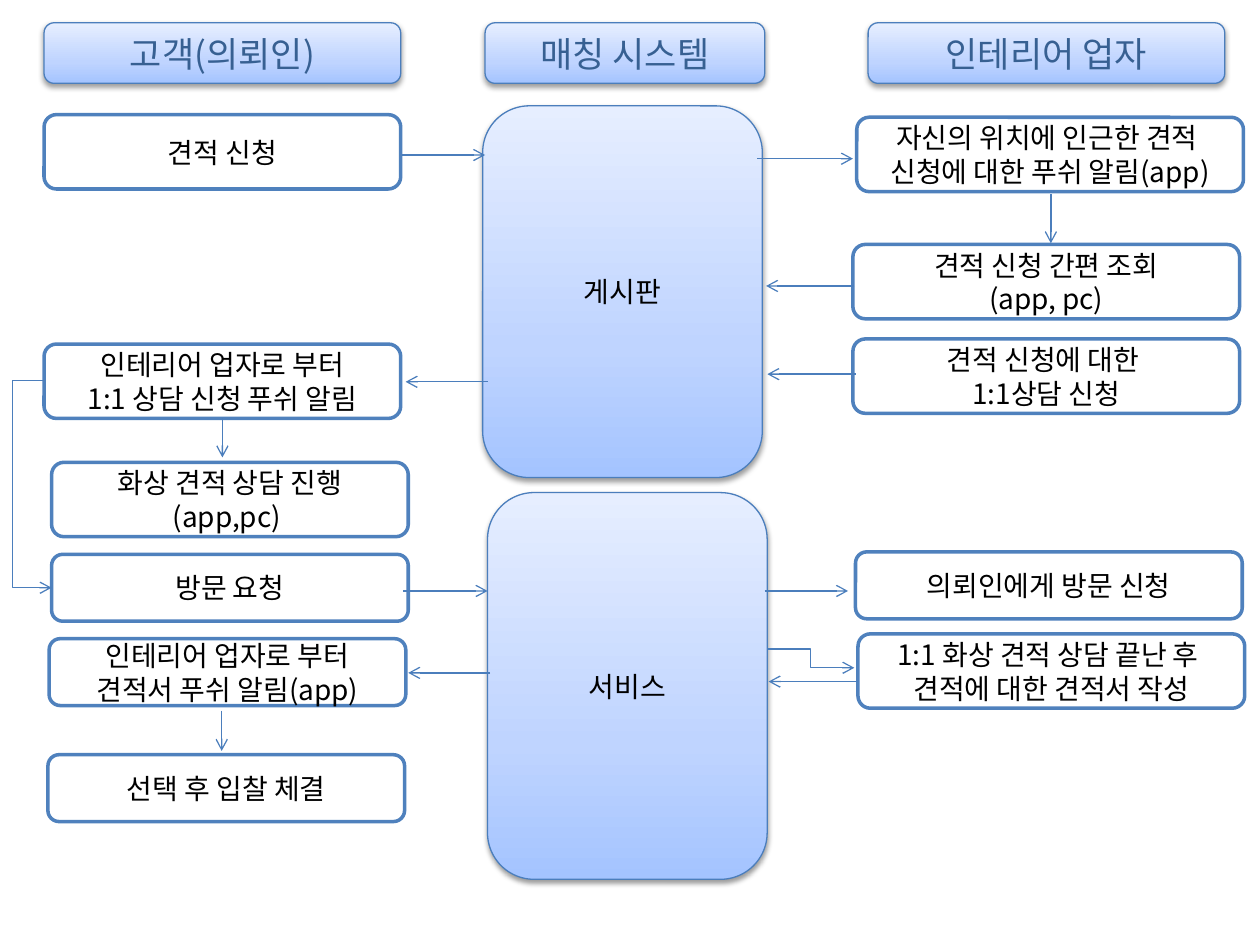
from copy import deepcopy

from lxml.etree import SubElement
from pptx import Presentation
from pptx.dml.color import RGBColor
from pptx.enum.shapes import MSO_CONNECTOR, MSO_SHAPE
from pptx.enum.text import MSO_ANCHOR, PP_ALIGN
from pptx.oxml.ns import qn
from pptx.util import Pt

FONT = "Noto Sans CJK KR"
COLORS = {
    "header_text": "376092",
    "text": "000000",
    "box_fill": "FFFFFF",
    "box_line": "4F81BD",
    "thin_line": "4B7EBC",
    "shadow": "000000",
}
GRADIENT = [(0, "A4C4FF"), (0.35, "BFD4FF"), (1, "E6EEFF")]
CLIENT_WIDTH, SYSTEM_WIDTH, VENDOR_WIDTH = 203.8, 159.8, 221
HEADER_TOP, HEADER_HEIGHT = 13, 34.6
TALL, SHORT = 42.5, 38.2

HEADERS = [
    ("고객(의뢰인)", 25.2, CLIENT_WIDTH),
    ("매칭 시스템", 277.2, SYSTEM_WIDTH),
    ("인테리어 업자", 496.1, CLIENT_WIDTH),
]
SYSTEMS = [
    ("게시판", 275.8, 60.5, 212.4),
    ("서비스", 278.6, 281.5, 221),
]
CLIENT_STEPS = [
    ("견적 신청", 25.2, 65.5, TALL),
    ("인테리어 업자로 부터\n1:1 상담 신청 푸쉬 알림", 25.2, 196.6, TALL),
    ("화상 견적 상담 진행\n(app,pc) ", 29.5, 264.2, TALL),
    ("방문 요청", 29.5, 316.8, SHORT),
    ("인테리어 업자로 부터\n견적서 푸쉬 알림(app)", 28.1, 365, SHORT),
    ("선택 후 입찰 체결", 27.4, 431.3, SHORT),
]
VENDOR_STEPS = [
    ("자신의 위치에 인근한 견적 \n신청에 대한 푸쉬 알림(app)", 489.6, 67, TALL),
    ("견적 신청 간편 조회\n(app, pc)", 487.4, 139.7, TALL),
    ("견적 신청에 대한 \n1:1상담 신청", 487.4, 193.7, TALL),
    ("의뢰인에게 방문 신청", 488.9, 315.4, SHORT),
    ("1:1 화상 견적 상담 끝난 후 \n견적에 대한 견적서 작성", 490.3, 362.2, TALL),
]
HORIZONTAL_ARROWS = [
    (229.7, 277.2, 88.6),
    (488.9, 438.5, 213.8),
    (432.7, 487.4, 90.7),
    (278.6, 231.8, 218.2),
    (488.2, 437.8, 163.4),
    (230.4, 278.6, 337.7),
    (437, 484.6, 337.7),
    (280.1, 233.3, 384.5),
    (490.3, 439.2, 389.5),
]
VERTICAL_ARROWS = [(600.5, 110.9, 139), (126.7, 406.1, 429.1)]
ELBOW_ARROWS = [
    (25.2, 217.4, 29.5, 335.9, 7.2),
    (438.5, 370.8, 488.2, 381.6, 463.3),
]


def color(name):
    """Return the RGB colour stored under a name."""
    return RGBColor.from_string(COLORS[name])


def write_text(shape, text, size, color_name):
    """Centre the text in a shape and format its runs."""
    text_frame = shape.text_frame
    text_frame.word_wrap = True
    text_frame.vertical_anchor = MSO_ANCHOR.MIDDLE
    text_frame.text = text
    for paragraph in text_frame.paragraphs:
        paragraph.alignment = PP_ALIGN.CENTER
        for run in paragraph.runs:
            run.font.size = Pt(size)
            run.font.name = FONT
            run.font.color.rgb = color(color_name)
            SubElement(run.font._element, qn("a:ea"), typeface=FONT)


def add_round_box(slide, left, top, width, height, line_name, line_width):
    """Add an outlined rounded rectangle without the theme shadow."""
    shape = slide.shapes.add_shape(
        MSO_SHAPE.ROUNDED_RECTANGLE, Pt(left), Pt(top), Pt(width), Pt(height)
    )
    shape.shadow.inherit = False
    shape.line.color.rgb = color(line_name)
    shape.line.width = Pt(line_width)
    return shape


def add_shadow(shape):
    """Give a shape a soft shadow straight below it."""
    effects = shape._element.spPr.find(qn("a:effectLst"))
    shadow = SubElement(
        effects, qn("a:outerShdw"), blurRad=str(Pt(3.1)), dist=str(Pt(1.6)),
        dir="5400000", rotWithShape="0",
    )
    shadow_color = SubElement(shadow, qn("a:srgbClr"), val=COLORS["shadow"])
    SubElement(shadow_color, qn("a:alpha"), val="38000")


def add_gradient_box(slide, text, left, top, width, height, size, color_name):
    """Add a blue gradient box with a shadow."""
    shape = add_round_box(slide, left, top, width, height, "thin_line", 0.75)
    shape.fill.gradient()
    shape.fill.gradient_angle = 90
    stop_list = shape._element.spPr.find(qn("a:gradFill")).find(qn("a:gsLst"))
    stop_list.append(deepcopy(stop_list[0]))
    for stop, (position, value) in zip(shape.fill.gradient_stops, GRADIENT):
        stop.position = position
        stop.color.rgb = RGBColor.from_string(value)
    add_shadow(shape)
    write_text(shape, text, size, color_name)


def add_step(slide, text, left, top, width, height):
    """Add a white process step."""
    shape = add_round_box(slide, left, top, width, height, "box_line", 2)
    shape.fill.solid()
    shape.fill.fore_color.rgb = color("box_fill")
    write_text(shape, text, 16, "text")
    return shape


def add_arrow(slide, start_x, start_y, end_x, end_y, kind=MSO_CONNECTOR.STRAIGHT):
    """Add a thin connector with an open arrowhead at its end."""
    connector = slide.shapes.add_connector(
        kind, Pt(start_x), Pt(start_y), Pt(end_x), Pt(end_y)
    )
    connector.line.color.rgb = color("thin_line")
    connector.line.width = Pt(0.75)
    SubElement(connector.line._get_or_add_ln(), qn("a:tailEnd"), type="arrow")
    SubElement(connector._element.spPr, qn("a:effectLst"))
    return connector


def add_elbow_arrow(slide, start_x, start_y, end_x, end_y, bend_x):
    """Add an elbow arrow whose vertical part runs at bend_x."""
    connector = add_arrow(slide, start_x, start_y, end_x, end_y, MSO_CONNECTOR.ELBOW)
    ratio = (bend_x - start_x) / (end_x - start_x)
    geometry = connector._element.spPr.find(qn("a:prstGeom"))
    guides = geometry.find(qn("a:avLst"))
    SubElement(guides, qn("a:gd"), name="adj1", fmla=f"val {round(ratio * 100000)}")


def main():
    """Build the matching process slide and save it."""
    presentation = Presentation()
    presentation.slide_width, presentation.slide_height = Pt(720), Pt(540)
    slide = presentation.slides.add_slide(presentation.slide_layouts[6])

    for text, left, width in HEADERS:
        add_gradient_box(
            slide, text, left, HEADER_TOP, width, HEADER_HEIGHT, 20, "header_text"
        )
    for text, left, top, height in SYSTEMS:
        add_gradient_box(slide, text, left, top, SYSTEM_WIDTH, height, 16, "text")
    client_steps = [
        add_step(slide, text, left, top, CLIENT_WIDTH, height)
        for text, left, top, height in CLIENT_STEPS
    ]
    for text, left, top, height in VENDOR_STEPS:
        add_step(slide, text, left, top, VENDOR_WIDTH, height)

    for start_x, end_x, y in HORIZONTAL_ARROWS:
        add_arrow(slide, start_x, y, end_x, y)
    for x, start_y, end_y in VERTICAL_ARROWS:
        add_arrow(slide, x, start_y, x, end_y)
    for elbow in ELBOW_ARROWS:
        add_elbow_arrow(slide, *elbow)
    consultation_arrow = add_arrow(slide, 127.1, 239.1, 127.1, 261.4)
    consultation_arrow.begin_connect(client_steps[1], 2)

    presentation.save("out.pptx")


if __name__ == "__main__":
    main()
